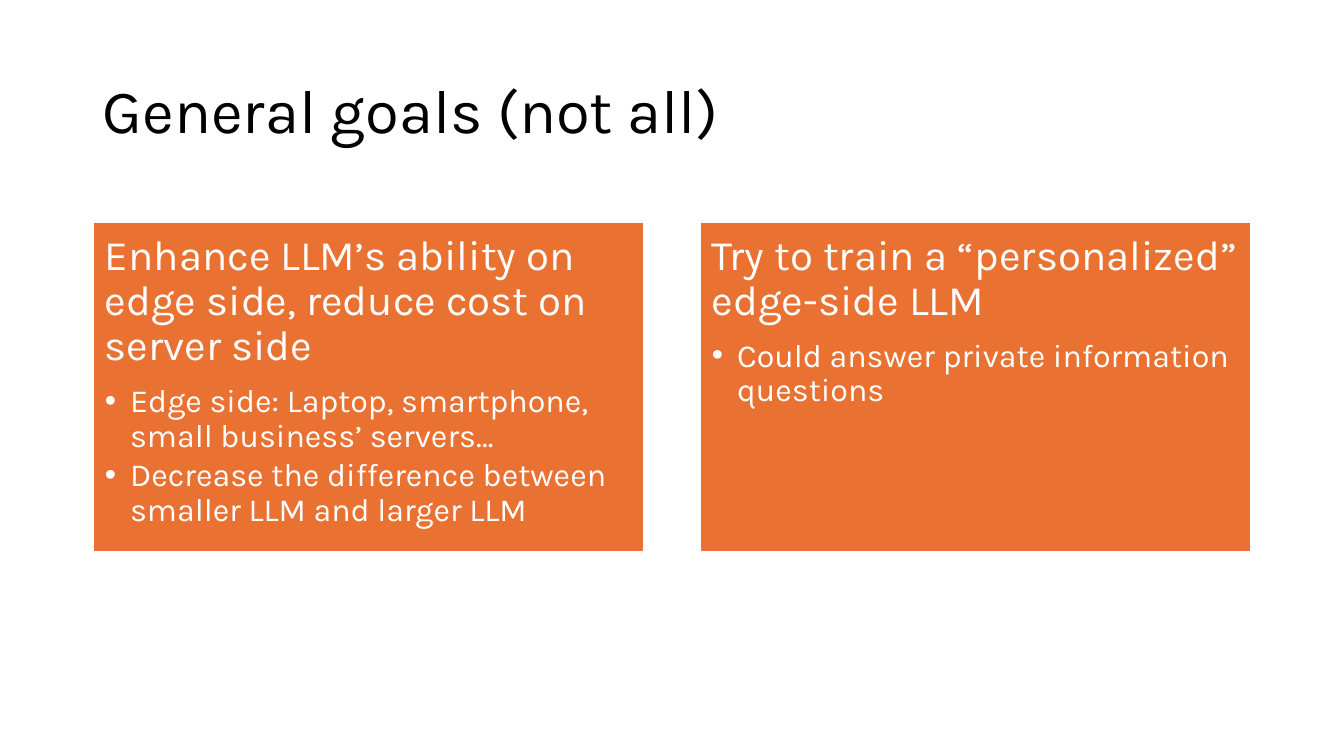
from dataclasses import dataclass

from lxml.etree import SubElement
from pptx import Presentation
from pptx.dml.color import RGBColor
from pptx.enum.text import MSO_ANCHOR, MSO_AUTO_SIZE, PP_ALIGN
from pptx.oxml.ns import qn
from pptx.util import Inches, Pt


@dataclass(frozen=True)
class Theme:
    font: str = "Karla"
    ink: RGBColor = RGBColor(0x00, 0x00, 0x00)
    paper: RGBColor = RGBColor(0xFF, 0xFF, 0xFF)
    accent: RGBColor = RGBColor(0xE9, 0x71, 0x32)
    title_size: float = 44
    goal_size: float = 30
    detail_size: float = 23
    border: float = 1.5
    line_spacing: float = 0.9
    goal_gap: float = 0.35
    detail_gap: float = 0.15


class GoalSlide:
    def __init__(self, presentation, theme):
        self.theme = theme
        self.slide = presentation.slides.add_slide(presentation.slide_layouts[3])

    def place(self, placeholder, left, top, width, height):
        placeholder.left, placeholder.top = Inches(left), Inches(top)
        placeholder.width, placeholder.height = Inches(width), Inches(height)
        placeholder.text_frame.word_wrap = True
        placeholder.text_frame.auto_size = MSO_AUTO_SIZE.NONE

    def style(self, paragraph, size, color, gap=0):
        paragraph.alignment = PP_ALIGN.LEFT
        paragraph.line_spacing = self.theme.line_spacing
        paragraph.space_before = Pt(0)
        paragraph.space_after = Pt(size * gap)
        for run in paragraph.runs:
            run.font.name = self.theme.font
            run.font.size = Pt(size)
            run.font.color.rgb = color

    def bullet(self, paragraph, mark=None, indent=0):
        properties = paragraph._p.get_or_add_pPr()
        properties.set("marL", str(Inches(indent)))
        properties.set("indent", str(-Inches(indent)))
        if mark:
            SubElement(properties, qn("a:buFont"), typeface="Arial")
            SubElement(properties, qn("a:buChar"), char=mark)
        else:
            SubElement(properties, qn("a:buNone"))

    def title(self, text, *box):
        heading = self.slide.shapes.title
        self.place(heading, *box)
        heading.text_frame.text = text
        heading.text_frame.vertical_anchor = MSO_ANCHOR.MIDDLE
        self.style(heading.text_frame.paragraphs[0], self.theme.title_size, self.theme.ink)

    def card(self, index, goal, details, *box):
        theme = self.theme
        panel = self.slide.placeholders[index]
        self.place(panel, *box)
        panel.fill.solid()
        panel.fill.fore_color.rgb = theme.accent
        panel.line.color.rgb = theme.paper
        panel.line.width = Pt(theme.border)
        frame = panel.text_frame
        frame.margin_left = frame.margin_right = Inches(0.12)
        frame.margin_top = frame.margin_bottom = Inches(0.12)
        frame.vertical_anchor = MSO_ANCHOR.TOP
        frame.text = goal
        self.style(frame.paragraphs[0], theme.goal_size, theme.paper, theme.goal_gap)
        self.bullet(frame.paragraphs[0])
        for detail in details:
            item = frame.add_paragraph()
            item.text = detail
            item.level = 1
            self.style(item, theme.detail_size, theme.paper, theme.detail_gap)
            self.bullet(item, "•", 0.25)


GOALS = [
    ("Enhance LLM’s ability on edge side, reduce cost on server side",
     ["Edge side: Laptop, smartphone, small business’ servers…",
      "Decrease the difference between smaller LLM and larger LLM"]),
    ("Try to train a “personalized” edge-side LLM",
     ["Could answer private information questions"]),
]
MARGIN, CARD_WIDTH, CARD_GAP = 0.92, 5.47, 0.55

presentation = Presentation()
presentation.slide_width, presentation.slide_height = Inches(13.33), Inches(7.5)
goals_slide = GoalSlide(presentation, Theme())
goals_slide.title("General goals (not all)", MARGIN, 0.4, 11.5, 1.45)
for column, (goal, details) in enumerate(GOALS):
    left = MARGIN + column * (CARD_WIDTH + CARD_GAP)
    goals_slide.card(column + 1, goal, details, left, 2.2, CARD_WIDTH, 3.28)
presentation.save("out.pptx")
